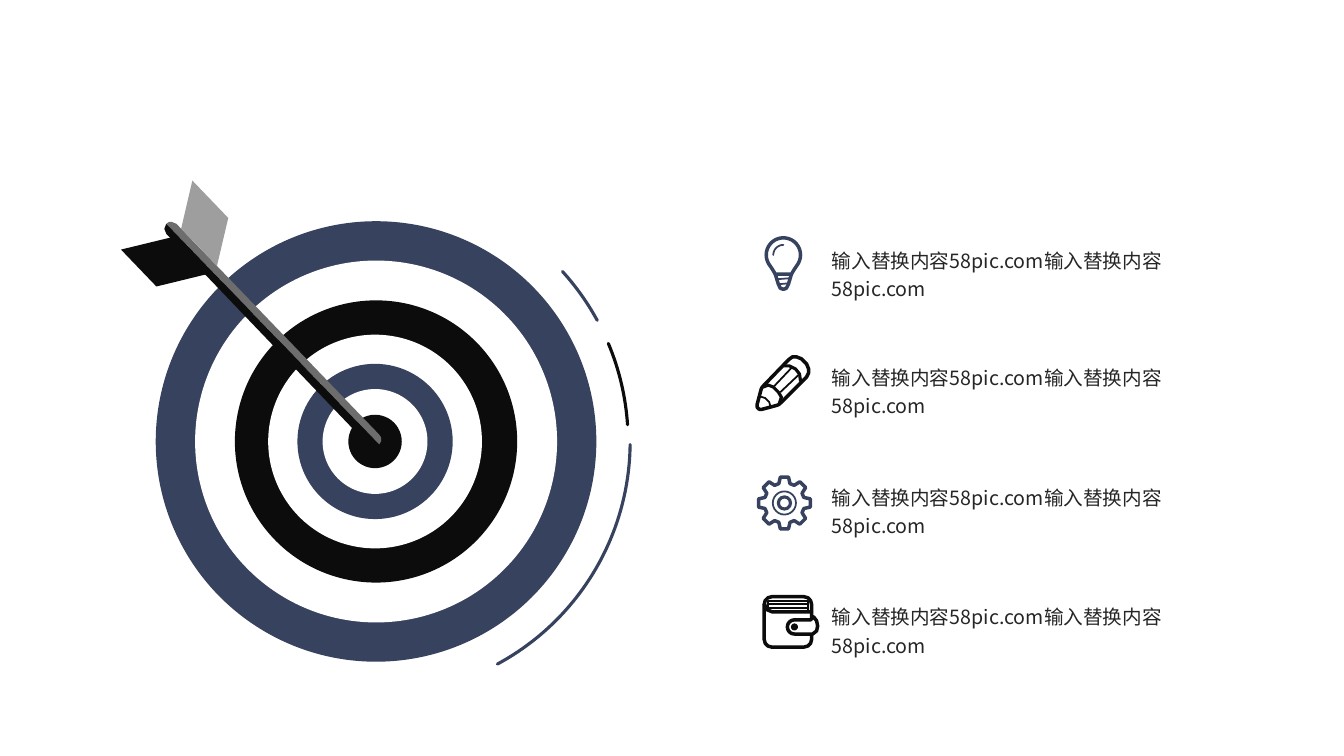
from dataclasses import dataclass
from math import cos, radians, sin

from lxml.etree import SubElement
from pptx import Presentation
from pptx.dml.color import RGBColor
from pptx.enum.shapes import MSO_SHAPE
from pptx.oxml.ns import qn
from pptx.util import Pt

PX = 9144


@dataclass(frozen=True)
class Theme:
    """Colours, font and type sizes of the slide."""
    navy: str = "37425F"
    black: str = "0C0C0C"
    white: str = "FFFFFF"
    shaft: str = "6D6D6D"
    feather: str = "9E9E9E"
    text: str = "262626"
    font: str = "Noto Sans CJK SC"
    body: int = 14
    thin: float = 1.25
    bold: float = 2.5
    sweep: float = 2.25


THEME = Theme()


def paint(shape, fill=None, stroke=None, weight=THEME.bold):
    """Set the fill and the round-ended line of a shape."""
    shape.shadow.inherit = False
    if fill:
        shape.fill.solid()
        shape.fill.fore_color.rgb = RGBColor.from_string(fill)
    else:
        shape.fill.background()
    if stroke:
        shape.line.color.rgb = RGBColor.from_string(stroke)
        shape.line.width = Pt(weight)
        shape.element.spPr.find(qn("a:ln")).set("cap", "rnd")
    else:
        shape.line.fill.background()
    return shape


def preset(slide, kind, left, top, width, height, **style):
    """Add a painted preset shape."""
    lengths = [value * PX for value in (left, top, width, height)]
    return paint(slide.shapes.add_shape(kind, *lengths), **style)


def disc(slide, centre_x, centre_y, diameter, **style):
    """Add a circle around a centre."""
    left, top = centre_x - diameter / 2, centre_y - diameter / 2
    box = [round(value * PX) for value in (left, top, diameter, diameter)]
    return paint(slide.shapes.add_shape(MSO_SHAPE.OVAL, *box), **style)


def outline(slide, left, top, points, closed=False, **style):
    """Draw a path whose points are relative to left and top."""
    start, *rest = [((left + x) * PX, (top + y) * PX) for x, y in points]
    builder = slide.shapes.build_freeform(*start)
    builder.add_line_segments(rest, close=closed)
    return paint(builder.convert_to_shape(), **style)


def polar(centre_x, centre_y, radius, degrees):
    """Return the point at an angle on a circle."""
    angle = radians(degrees)
    return centre_x + radius * cos(angle), centre_y + radius * sin(angle)


def draw_target(slide, left, top):
    """Draw the sweeping arcs, the rings and the arrow."""
    arcs = ((0, 337.2, 356.2, THEME.black), (2, 0.7, 61.6, THEME.navy),
            (0, 317.8, 331.4, THEME.navy))
    for shift, start, end, colour in arcs:
        arc = preset(slide, MSO_SHAPE.ARC, left + shift, top, 502, 502,
                     stroke=colour, weight=THEME.sweep)
        arc.adjustments[0], arc.adjustments[1] = start * 0.6, end * 0.6
    rings = ((437, THEME.navy), (359, THEME.white), (280, THEME.black),
             (212, THEME.white), (154, THEME.navy), (104, THEME.white),
             (53, THEME.black))
    for diameter, colour in rings:
        disc(slide, left + (252 if diameter > 250 else 251), top + 251,
             diameter, fill=colour)
    draw_arrow(slide, left, top)


def draw_arrow(slide, left, top):
    """Draw the two-tone shaft and the two feathers."""
    light = [(44, 35), (255, 254), (257, 251), (257, 247), (255, 244),
             (54, 35), (49, 33), (47, 33)]
    dark = [(44, 35), (255, 254), (249, 256), (244, 254), (44, 45), (42, 40)]
    for side, colour in ((light, THEME.shaft), (dark, THEME.black)):
        outline(slide, left, top, side, closed=True, fill=colour)
    feathers = ((4, 49, 47, 0.58, THEME.black, "0"),
                (43, 14, 41, 0.65, THEME.feather, "1"))
    for x, y, height, slant, colour, flip in feathers:
        feather = preset(slide, MSO_SHAPE.PARALLELOGRAM, left + x, top + y,
                         78, height, fill=colour)
        feather.adjustments[0] = slant
        feather.rotation = 226.2
        feather.element.spPr.find(qn("a:xfrm")).set("flipV", flip)


def draw_bulb(slide, left, top):
    """Draw the light bulb icon."""
    left += 7
    glass = [polar(19, 20, 17, angle) for angle in range(150, 391, 10)]
    outline(slide, left, top, [(11, 39), (8, 34), *glass, (30, 34), (27, 39)],
            closed=True, stroke=THEME.navy)
    outline(slide, left, top,
            [(11, 39), (14, 49), (16, 53), (19, 54), (22, 53), (24, 49), (27, 39)],
            stroke=THEME.navy)
    shine = [polar(19, 20, 10, angle) for angle in range(180, 271, 10)]
    for stroke in (shine, [(13, 44), (26, 43)], [(14, 49), (25, 48)]):
        outline(slide, left, top, stroke, stroke=THEME.navy, weight=THEME.thin)


def draw_pencil(slide, left, top):
    """Draw the pencil icon."""
    left -= 2
    body = [(7, 32), (33, 5), (37, 2), (41, 2), (46, 4), (51, 9), (53, 14),
            (53, 18), (51, 22), (24, 49), (22, 50), (7, 54), (4, 54), (2, 52),
            (2, 49), (6, 34)]
    outline(slide, left, top, body, closed=True, stroke=THEME.black)
    ferrule = [(27, 11), (34, 11), (40, 14), (44, 19), (45, 26)]
    shoulder = [(8, 32), (13, 30), (18, 32), (23, 37), (26, 42), (24, 48)]
    for band in (ferrule, shoulder):
        outline(slide, left, top, band, stroke=THEME.black, weight=THEME.sweep)
    lead = [(4, 41), (10, 43), (14, 47), (15, 51)]
    for edge in (lead, [(19, 31), (36, 13)], [(25, 37), (43, 20)]):
        outline(slide, left, top, edge, stroke=THEME.black, weight=THEME.thin)


def draw_gear(slide, left, top):
    """Draw the gear icon with eight teeth."""
    tooth = ((-16, 20), (-9, 26), (9, 26), (16, 20))
    rim = [polar(27, 28, radius, turn + angle)
           for turn in range(0, 360, 45) for angle, radius in tooth]
    outline(slide, left, top, rim, closed=True, stroke=THEME.navy)
    for diameter, weight in ((23, THEME.thin), (12, THEME.sweep)):
        disc(slide, left + 27, top + 28, diameter, stroke=THEME.navy, weight=weight)


def draw_wallet(slide, left, top):
    """Draw the wallet icon."""
    left += 5
    pouch = preset(slide, MSO_SHAPE.ROUNDED_RECTANGLE, left + 2, top + 2, 47, 50,
                   stroke=THEME.black)
    pouch.adjustments[0] = 0.16
    outline(slide, left, top, [(2, 9), (5, 15), (10, 17), (49, 17)],
            stroke=THEME.black)
    cards = ([(6, 15), (6, 6), (45, 6), (45, 15)], [(6, 9), (45, 9)],
             [(6, 13), (45, 13)])
    for card in cards:
        outline(slide, left, top, card, stroke=THEME.black, weight=THEME.thin)
    loop = [polar(32, 32, 7, angle) for angle in range(90, 271, 15)]
    outline(slide, left, top,
            [*loop, (48, 25), (51, 22), (54, 26), (55, 31), (54, 36), (50, 39)],
            closed=True, fill=THEME.white, stroke=THEME.black)
    disc(slide, left + 32, top + 32, 7, fill=THEME.black)


def write_caption(slide, left, top, caption):
    """Write the text beside an icon."""
    box = slide.shapes.add_textbox(left * PX, top * PX, 387 * PX, 60 * PX)
    frame = box.text_frame
    frame.word_wrap = True
    frame.margin_left = frame.margin_right = 0
    frame.margin_top = frame.margin_bottom = 0
    paragraph = frame.paragraphs[0]
    paragraph.text = caption
    paragraph.line_spacing = 1.2
    paragraph.font.size = Pt(THEME.body)
    paragraph.font.name = THEME.font
    paragraph.font.color.rgb = RGBColor.from_string(THEME.text)
    for defaults in box.element.iter(qn("a:defRPr")):
        SubElement(defaults, qn("a:ea")).set("typeface", THEME.font)


def draw_list(slide, left, top):
    """Place four icons with their captions at an equal step."""
    caption = "输入替换内容58pic.com输入替换内容58pic.com"
    rows = ((draw_bulb, 9), (draw_pencil, 6), (draw_gear, 6), (draw_wallet, 6))
    for index, (draw_icon, drop) in enumerate(rows):
        row_top = top + index * 119
        draw_icon(slide, left, row_top)
        write_caption(slide, left + 74, row_top + drop, caption)


def main():
    """Build and save the slide."""
    deck = Presentation()
    deck.slide_width, deck.slide_height = 1333 * PX, 750 * PX
    slide = deck.slides.add_slide(deck.slide_layouts[6])
    draw_target(slide, 121, 187)
    draw_list(slide, 751, 233)
    deck.save("out.pptx")


if __name__ == "__main__":
    main()
